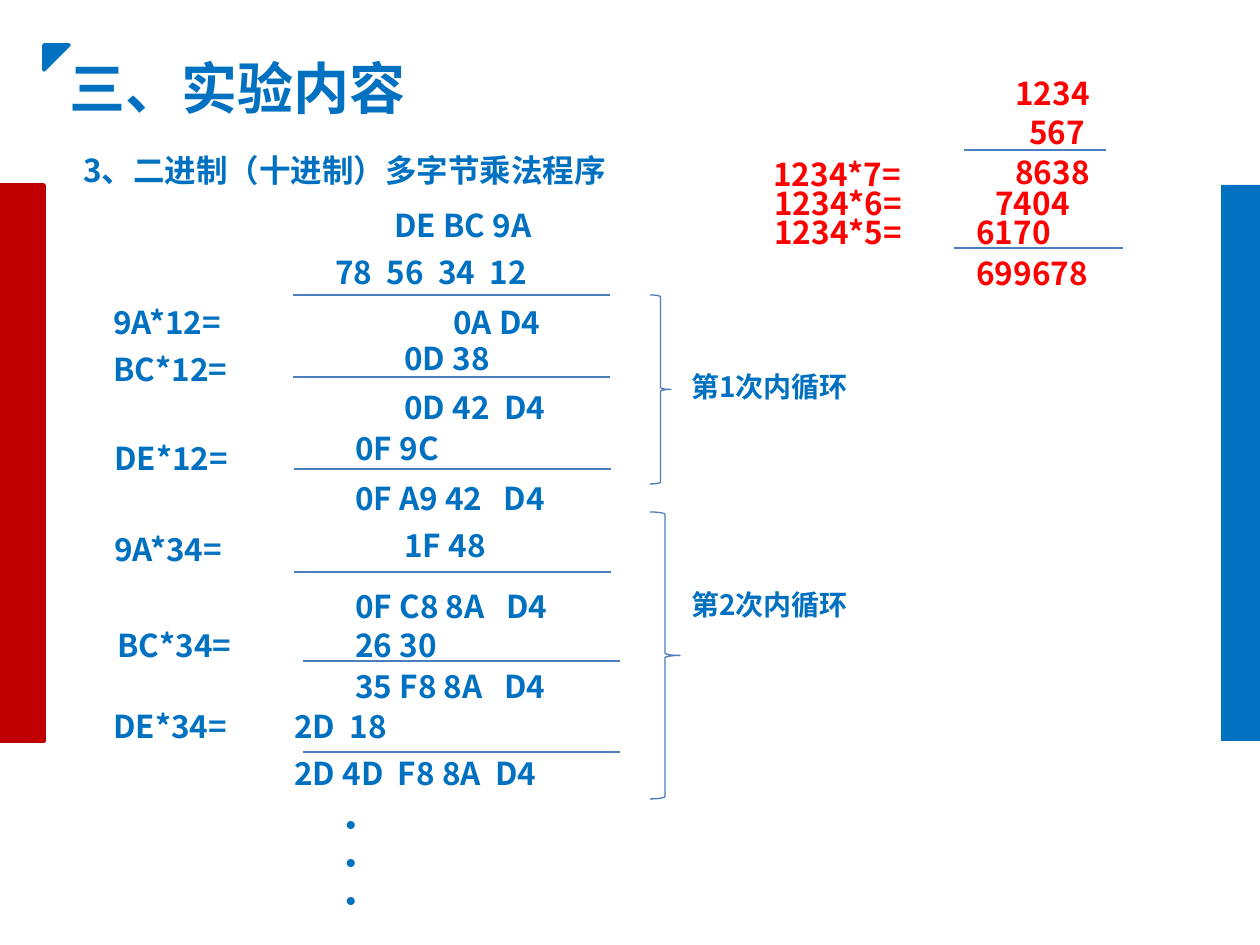
from pptx import Presentation, util as u
from pptx.dml.color import RGBColor
from pptx.enum import shapes, text
from pptx.oxml.ns import qn
from lxml import etree

BLUE = RGBColor(0x00, 0x70, 0xC0)
RED = RGBColor(0xFF, 0x00, 0x00)
DARK_RED = RGBColor(0xC0, 0x00, 0x00)
RULE = RGBColor(0x4B, 0x7E, 0xBC)
PX = u.Inches(1) / 126


def px(n):
    return u.Emu(round(n * PX))


class Board:
    """Draws text, rules and shapes on one slide in a shared style."""

    font = "Noto Sans CJK SC"

    def __init__(self, slide):
        self.s = slide

    def place(self, sp, x, y, w, h):
        sp.left, sp.top, sp.width, sp.height = map(px, (x, y, w, h))

    def add_words(self, sp, words, size, color, wrap=True):
        tf = sp.text_frame
        tf.word_wrap = wrap
        tf.auto_size = text.MSO_AUTO_SIZE.SHAPE_TO_FIT_TEXT
        tf.vertical_anchor = text.MSO_ANCHOR.TOP
        p = tf.paragraphs[0]
        p.alignment = text.PP_ALIGN.LEFT
        r = p.add_run()
        r.text = words
        r.font.name, r.font.size, r.font.bold = self.font, u.Pt(size), True
        r.font.color.rgb = color
        etree.SubElement(r.font._element, qn("a:ea"), typeface=self.font)

    def title(self, words, x, y, w, h):
        sp = self.s.shapes.title
        self.place(sp, x, y, w, h)
        self.add_words(sp, words, 32, BLUE, wrap=False)

    def label(self, words, x, y, w, h=50, size=18, color=BLUE):
        sp = self.s.shapes.add_textbox(px(x), px(y), px(w), px(h))
        self.add_words(sp, words, size, color)

    def rule(self, x, y, w):
        ln = self.s.shapes.add_connector(
            shapes.MSO_CONNECTOR.STRAIGHT, px(x), px(y), px(x + w), px(y))
        ln.line.color.rgb, ln.line.width = RULE, u.Pt(0.75)
        etree.SubElement(ln._element.spPr, qn("a:effectLst"))

    def shape(self, kind, x, y, w, h, fill=None, line=None, weight=2, turn=0):
        sp = self.s.shapes.add_shape(kind, px(x), px(y), px(w), px(h))
        sp.shadow.inherit = False
        sp.rotation = turn
        if fill is None:
            sp.fill.background()
        else:
            sp.fill.solid()
            sp.fill.fore_color.rgb = fill
        if line is None:
            sp.line.fill.background()
        else:
            sp.line.color.rgb, sp.line.width = line, u.Pt(weight)


prs = Presentation()
prs.slide_width, prs.slide_height = u.Inches(10), u.Inches(7.5)
b = Board(prs.slides.add_slide(prs.slide_layouts[5]))
kinds = shapes.MSO_SHAPE

b.shape(kinds.RECTANGLE, 0, 185, 44, 556, DARK_RED, DARK_RED)
b.shape(kinds.RECTANGLE, 1221, 185, 44, 556, BLUE)
b.shape(kinds.RIGHT_TRIANGLE, 44, 45, 25, 25, BLUE, BLUE, turn=90)
b.title("三、实验内容", 57, 47, 364, 81)
b.label("3、二进制（十进制）多字节乘法程序", 71, 145, 1125)

for words, x, y in [("9A*12=", 101, 297), ("BC*12=", 101, 344),
                    ("DE*12=", 102, 433), ("9A*34=", 102, 524),
                    ("BC*34=", 105, 620), ("DE*34=", 101, 701)]:
    b.label(words, x, y, 193)

for words, x, y, w in [("DE BC 9A", 382, 200, 179),
                       ("78  56  34  12", 323, 247, 258),
                       ("0A D4", 441, 297, 139),
                       ("0D 38", 392, 333, 139),
                       ("0D 42  D4", 392, 382, 208),
                       ("0F 9C", 343, 423, 139),
                       ("0F A9 42   D4", 343, 473, 238),
                       ("1F 48", 392, 520, 139),
                       ("0F C8 8A   D4", 343, 581, 258),
                       ("26 30", 343, 620, 139),
                       ("35 F8 8A   D4", 343, 661, 258),
                       ("2D  18", 282, 701, 139),
                       ("2D 4D  F8 8A  D4", 282, 748, 307)]:
    b.label(words, x, y, w)

for x, y in [(293, 295), (293, 377), (294, 469), (294, 572),
             (303, 661), (303, 752)]:
    b.rule(x, y, 317)

for words, y, w, h, label_y in [("第1次内循环", 295, 21, 189, 363),
                                ("第2次内循环", 512, 30, 287, 581)]:
    b.shape(kinds.RIGHT_BRACE, 650, y, w, h, line=RULE, weight=0.75)
    b.label(words, 679, label_y, 193, 47, size=16)

for words, x, y, w in [("1234", 1003, 68, 118), ("567", 1017, 107, 104),
                       ("8638", 1003, 147, 118), ("1234*7=", 761, 149, 193),
                       ("7404", 983, 178, 118), ("1234*6=", 762, 178, 193),
                       ("6170", 964, 207, 118), ("1234*5=", 762, 207, 193),
                       ("699678", 964, 248, 142)]:
    b.label(words, x, y, w, color=RED)
b.rule(964, 150, 142)
b.rule(954, 248, 169)

b.label("···", 323, 800, 28, 127)

prs.save("out.pptx")
